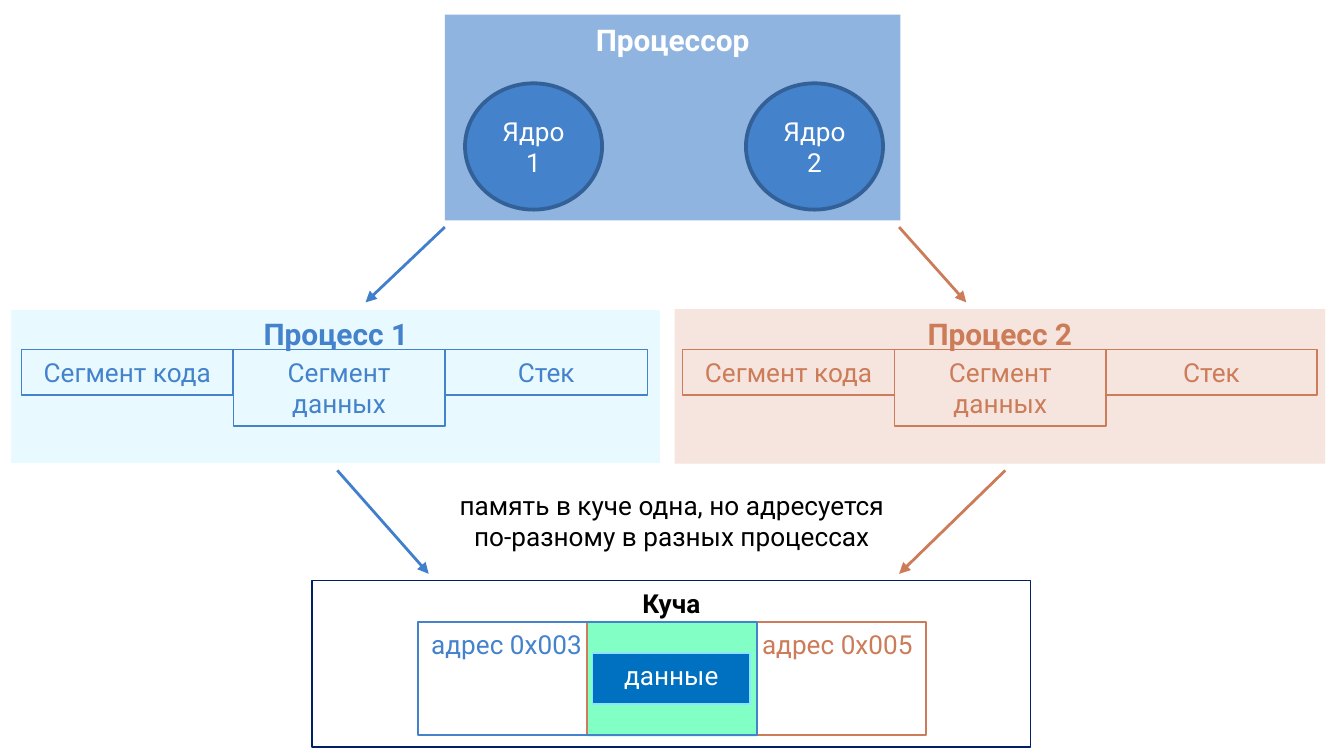
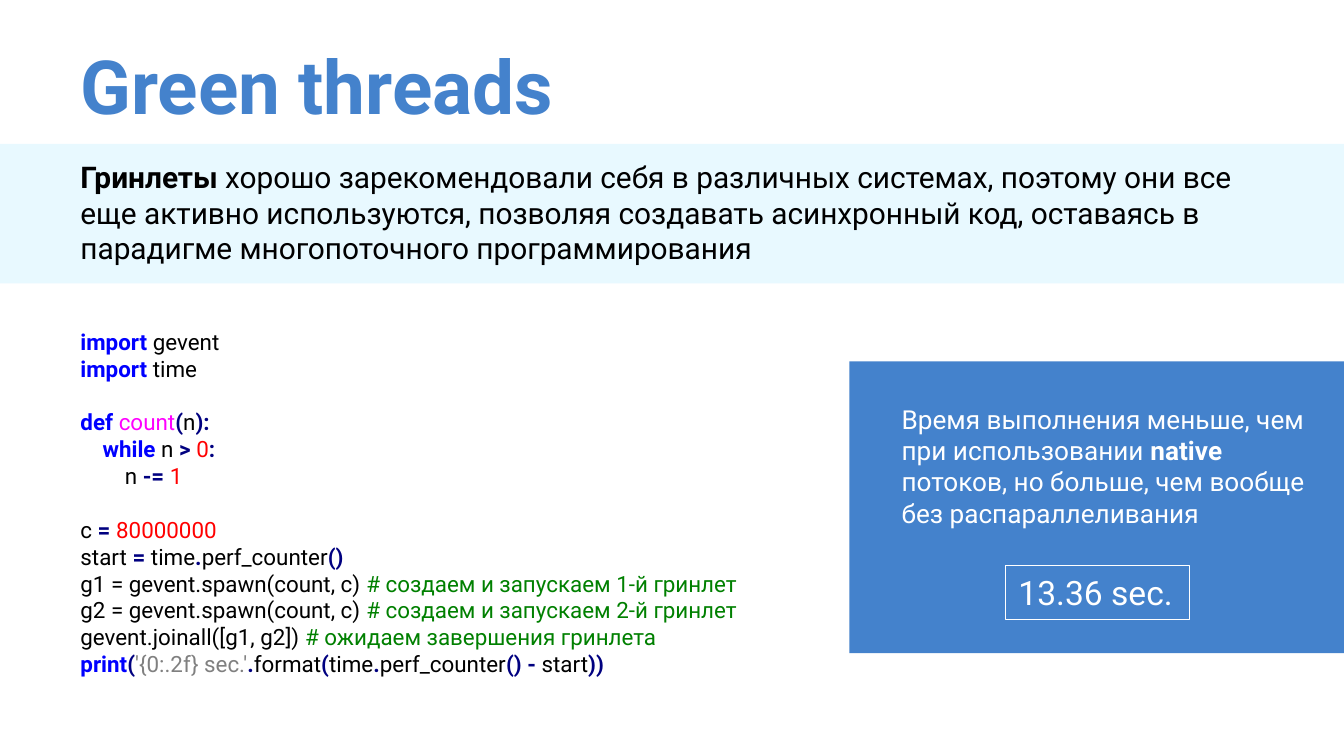
import pptx
import pptx.util
import pptx.dml.color
import pptx.oxml
import pptx.oxml.ns
import pptx.enum.shapes
import pptx.enum.text

Inches = pptx.util.Inches
Pt = pptx.util.Pt
Kind = pptx.enum.shapes.MSO_SHAPE
Align = pptx.enum.text.PP_ALIGN
Anchor = pptx.enum.text.MSO_ANCHOR

WIDE = 10
HIGH = WIDE * 9 / 16
FONT = "Roboto"
BLUE, RUST, PALE, PEACH = "4482CC", "CC7C58", "E8F9FF", "F5E5DE"
WHITE, BLACK, ARROW = "FFFFFF", "000000", "3F7FCB"

PARTS = [("Сегмент кода", 0.34), ("Сегмент данных", 0.57), ("Стек", 0.34)]
TASKS = [
    ("Процесс 1", 0.08, PALE, WHITE, BLUE, 0.16, 4.82),
    ("Процесс 2", 5.02, PEACH, None, RUST, 5.08, 9.8),
]
CORES = [("Ядро 1", 3.46), ("Ядро 2", 5.55)]
LINKS = [
    ((3.31, 1.69), (2.72, 2.25), ARROW),
    ((6.69, 1.69), (7.19, 2.25), RUST),
    ((2.51, 3.5), (3.19, 4.27), ARROW),
    ((7.48, 3.5), (6.69, 4.27), RUST),
]
CELLS = [
    ("адрес 0x005", 4.37, RUST, Align.RIGHT),
    ("адрес 0x003", 3.11, BLUE, Align.LEFT),
]
NOTE = "память в куче одна, но адресуется по-разному в разных процессах"

INTRO = [
    ("bold", "Гринлеты"),
    ("text", " хорошо зарекомендовали себя в различных системах, поэтому они все "
             "еще активно используются, позволяя создавать асинхронный код, "
             "оставаясь в парадигме многопоточного программирования"),
]
CLAIM = [
    ("white", "Время выполнения меньше, чем при использовании "),
    ("strong", "native "),
    ("white", "потоков, но больше, чем вообще без распараллеливания"),
]
STYLES = {
    "text": (BLACK, False),
    "bold": (BLACK, True),
    "white": (WHITE, False),
    "strong": (WHITE, True),
    "key": ("0000FF", True),
    "name": ("FF00FF", False),
    "sign": ("000080", True),
    "num": ("FF0000", False),
    "note": ("008000", False),
    "str": ("808080", False),
}
CODE = [
    [
        [("key", "import "), ("text", "gevent")],
        [("key", "import"), ("text", " time")],
    ],
    [
        [("key", "def "), ("name", "count"), ("sign", "("), ("text", "n"),
         ("sign", "):")],
        [("text", "    "), ("key", "while"), ("text", " n "), ("sign", "> "),
         ("num", "0"), ("sign", ":")],
        [("text", "        n "), ("sign", "-= "), ("num", "1")],
    ],
    [
        [("text", "c "), ("sign", "= "), ("num", "80000000")],
        [("text", "start "), ("sign", "= "), ("text", "time"), ("sign", "."),
         ("text", "perf_counter"), ("sign", "()")],
        [("text", "g1 = gevent.spawn(count, c) "),
         ("note", "# создаем и запускаем 1-й гринлет")],
        [("text", "g2 = gevent.spawn(count, c) "),
         ("note", "# создаем и запускаем 2-й гринлет")],
        [("text", "gevent.joinall([g1, g2]) "),
         ("note", "# ожидаем завершения гринлета")],
        [("key", "print"), ("sign", "("), ("str", "'{0:.2f} sec.'"),
         ("sign", "."), ("text", "format"), ("sign", "("), ("text", "time"),
         ("sign", "."), ("text", "perf_counter"), ("sign", "() -"),
         ("text", " start"), ("sign", "))")],
    ],
]


def rgb(code):
    return pptx.dml.color.RGBColor.from_string(code)


def put(item, **vals):
    for key, val in vals.items():
        setattr(item, key, val)


def add_run(para, text, size, ink, bold=False):
    run = para.add_run()
    run.text = text
    put(run.font, name=FONT, size=Pt(size), bold=bold)
    run.font.color.rgb = rgb(ink)


def add_runs(para, runs, size):
    for style, text in runs:
        add_run(para, text, size, *STYLES[style])


def add_box(slide, at, fill=None, line=None, wide=0.75, kind=Kind.RECTANGLE):
    box = slide.shapes.add_shape(kind, *map(Inches, at))
    box.shadow.inherit = False
    if fill:
        box.fill.solid()
        box.fill.fore_color.rgb = rgb(fill)
    else:
        box.fill.background()
    if line:
        box.line.color.rgb = rgb(line)
        box.line.width = Pt(wide)
    else:
        box.line.fill.background()
    return box


def label(box, text, size, ink, bold=False, align=Align.CENTER, anchor=Anchor.TOP):
    frame = box.text_frame
    put(frame, word_wrap=True, vertical_anchor=anchor)
    para = frame.paragraphs[0]
    para.alignment = align
    add_run(para, text, size, ink, bold)


def add_text(slide, at):
    box = slide.shapes.add_textbox(*map(Inches, at))
    box.text_frame.word_wrap = True
    return box


def add_link(slide, start, end, ink):
    link = slide.shapes.add_connector(
        pptx.enum.shapes.MSO_CONNECTOR.STRAIGHT, *map(Inches, start + end))
    link.line.color.rgb = rgb(ink)
    link.line.width = Pt(1.5)
    qn = pptx.oxml.ns.qn
    props = link._element.spPr
    line = props.find(qn("a:ln"))
    line.append(line.makeelement(qn("a:tailEnd"), {"type": "triangle"}))
    props.append(props.makeelement(qn("a:effectLst"), {}))


def draw_chip(slide):
    label(add_box(slide, (3.31, 0.11, 3.39, 1.53), "8FB4E0"),
          "Процессор", 16, WHITE, True)
    for text, left in CORES:
        core = add_box(slide, (left, 0.62, 1.02, 0.94), BLUE, "326097", 2, Kind.OVAL)
        label(core, text, 14, WHITE, anchor=Anchor.MIDDLE)


def draw_tasks(slide):
    step = 3.15 / 2
    for name, left, tint, edge, ink, first, end in TASKS:
        card = add_box(slide, (left, 2.3, 4.84, 1.15), tint, edge)
        label(card, name, 16, ink, True)
        for num, (text, high) in enumerate(PARTS):
            start = first + num * step
            part = add_box(slide, (start, 2.6, min(step, end - start), high), line=ink)
            label(part, text, 14, ink)


def draw_heap(slide):
    add_box(slide, (4.37, 4.62, 1.26, 0.86), "81FFC5")
    label(add_box(slide, (2.32, 4.32, 5.35, 1.24), line="002060"),
          "Куча", 14, BLACK, True)
    for text, left, ink, align in CELLS:
        cell = add_box(slide, (left, 4.63, 2.52, 0.84), line=ink, wide=1)
        label(cell, text, 14, ink, align=align)
    label(add_box(slide, (4.41, 4.86, 1.17, 0.38), "0070C0", "8BE3FF"),
          "данные", 14, WHITE)


def draw_memory(slide):
    draw_chip(slide)
    draw_tasks(slide)
    draw_heap(slide)
    label(add_text(slide, (3.27, 3.59, 3.46, 0.57)), NOTE, 14, BLACK)
    for link in LINKS:
        add_link(slide, *link)


def draw_code(slide):
    frame = add_text(slide, (0.5, 2.39, 5.85, 2.76)).text_frame
    para = frame.paragraphs[0]
    for num, block in enumerate(CODE):
        for row, runs in enumerate(block):
            if num or row:
                para = frame.add_paragraph()
            if num and not row:
                para.space_before = Pt(14.4)
            add_runs(para, runs, 12)


def draw_green(slide):
    title = add_text(slide, (0.5, 0.2, 8.88, 0.76))
    put(title.text_frame, margin_top=Inches(0.1), margin_bottom=Inches(0.1))
    label(title, "Green threads", 40, BLUE, True, Align.LEFT)
    add_box(slide, (0, 1.07, WIDE, 1.04), PALE)
    intro = add_text(slide, (0.5, 1.13, 9.09, 0.91))
    add_runs(intro.text_frame.paragraphs[0], INTRO, 16)
    draw_code(slide)
    add_box(slide, (6.32, 2.69, 3.68, 2.17), BLUE)
    claim = add_text(slide, (6.61, 2.95, 3.33, 1.04))
    add_runs(claim.text_frame.paragraphs[0], CLAIM, 14)
    label(add_box(slide, (7.48, 4.21, 1.37, 0.4), line=WHITE),
          "13.36 sec.", 18, WHITE, align=Align.LEFT)


def main():
    deck = pptx.Presentation()
    put(deck, slide_width=Inches(WIDE), slide_height=Inches(HIGH))
    for draw in (draw_memory, draw_green):
        draw(deck.slides.add_slide(deck.slide_layouts[6]))
    deck.save("out.pptx")


if __name__ == "__main__":
    main()
